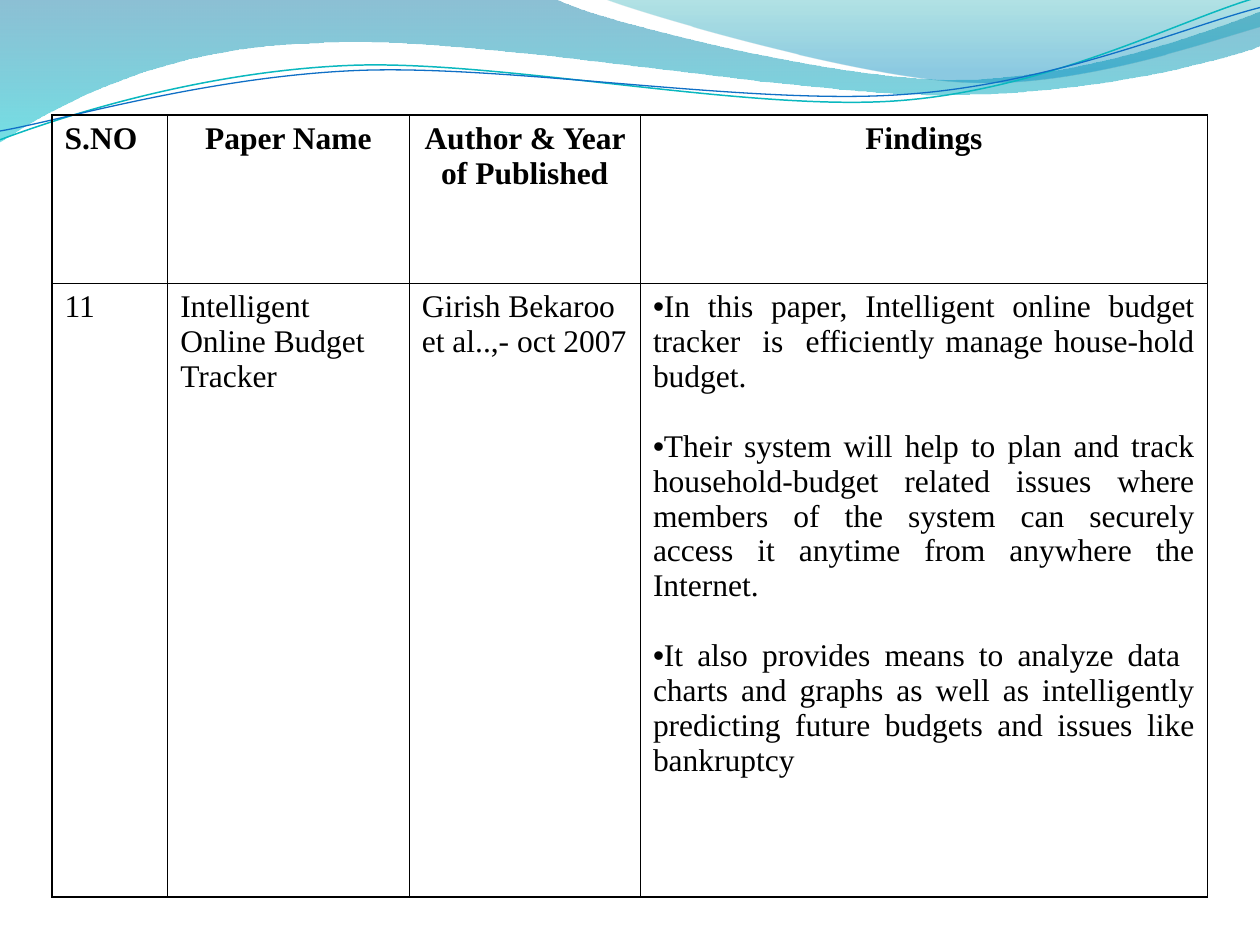
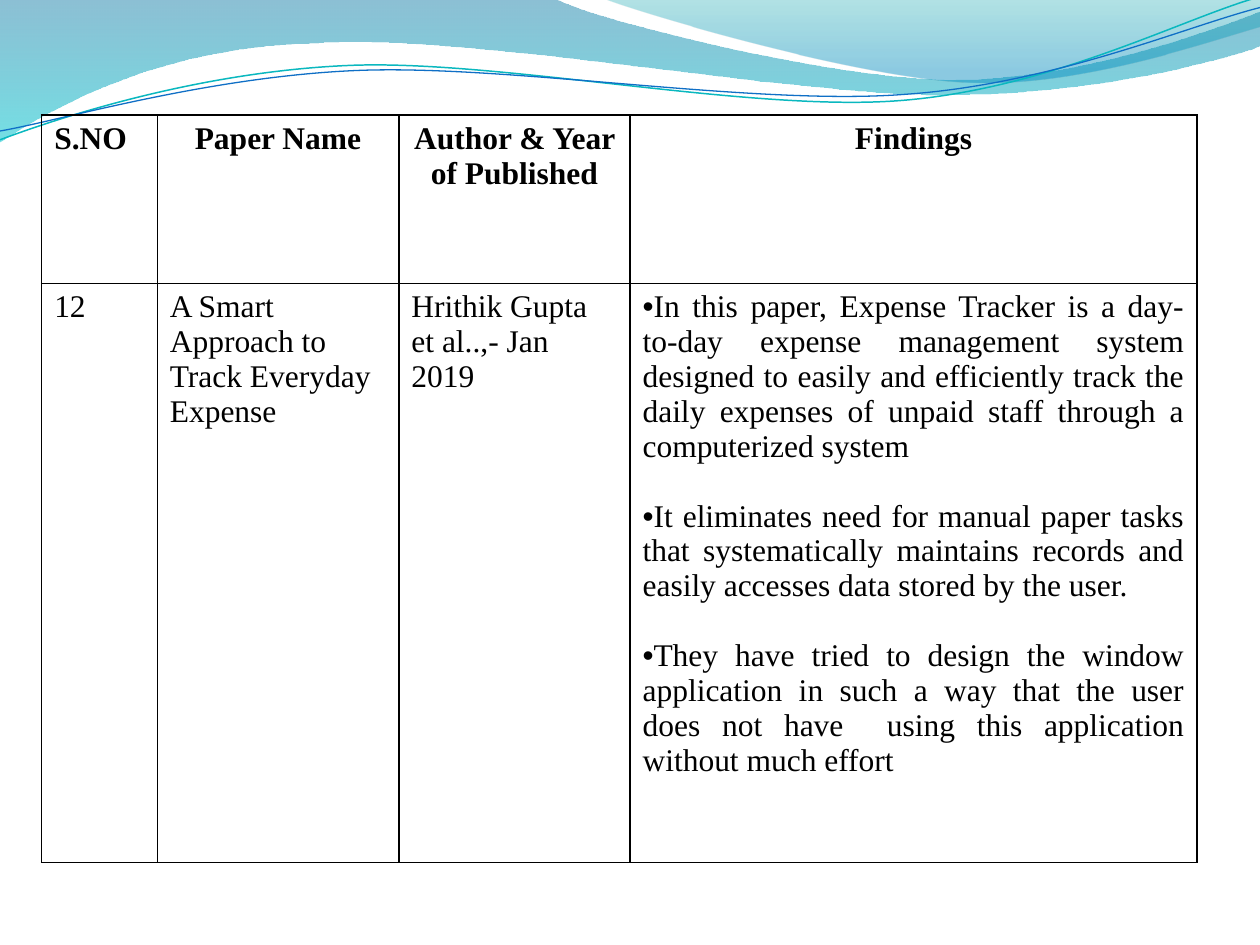
from lxml import etree
from pptx import Presentation
from pptx import util as u
from pptx.dml import color
from pptx.enum import text
from pptx.oxml import ns

Cm, Pt = u.Cm, u.Pt
FONT = "Times New Roman"
COLORS = {
    "ink": "000000",
    "deep_blue": "0074A1",
    "aqua": "00C6CF",
    "teal": "00A1A9",
    "sky": "008BBF",
    "teal_line": "0AB8BF",
    "blue_line": "0F6FC6",
}
GRID = 2.54  # cm per unit of the wave coordinates

# Outlines: a start point, then points (2 numbers) or Bezier curves (6 numbers)
WIDE_WAVE = [
    (0, 0), (4.4, -0.01),
    (4.76, 0.17, 6.64, 0.63, 7.58, 0.63),
    (8.53, 0.63, 9.58, 0.26, 10, 0.09),
    (10.01, 0.36),
    (9.83, 0.44, 8.7, 0.76, 7.46, 0.75),
    (6.22, 0.75, 3.82, 0.28, 2.57, 0.34),
    (1.29, 0.36, 0.46, 0.83, -0.01, 1.13),
    (0, 0),
]
RIGHT_WAVE = [
    (4.79, -0.01),
    (5.09, 0.11, 6.82, 0.62, 7.69, 0.65),
    (8.56, 0.69, 9.61, 0.32, 10, 0.21),
    (10, 0), (4.79, -0.01),
]
TEAL_CURVE = [
    (0, 1.11),
    (0.48, 0.93, 1.58, 0.57, 2.77, 0.52),
    (3.95, 0.47, 5.93, 0.89, 7.13, 0.8),
    (8.33, 0.71, 9.38, 0.15, 9.98, -0.02),
]
BLUE_CURVE = [
    (0, 1.04),
    (0.47, 0.96, 1.64, 0.61, 2.83, 0.56),
    (4.03, 0.51, 5.97, 0.84, 7.17, 0.75),
    (8.36, 0.67, 9.41, 0.21, 10, 0.06),
]

# Table layout in cm
TABLE_TOP = 2.32
COLUMN_WIDTHS = [2.33, 4.87, 4.66, 11.43]
HEADER_HEIGHT = 3.39
HEADINGS = ["S.NO", "Paper Name", "Author & Year of Published", "Findings"]

PAPERS = [
    {
        "left": 1.05, "height": 12.37,
        "facts": ["11", "Intelligent Online Budget Tracker",
                  "Girish Bekaroo et al..,- oct 2007"],
        "findings": [
            "In this paper, Intelligent online budget tracker  is  "
            "efficiently manage house-hold budget.",
            "Their system will help to plan and track household-budget "
            "related issues where members of the system can securely access "
            "it anytime from anywhere the Internet.",
            "It also provides means to analyze data  charts and graphs as "
            "well as intelligently predicting future budgets and issues like "
            "bankruptcy",
        ],
    },
    {
        "left": 0.84, "height": 11.68,
        "facts": ["12", "A Smart Approach to Track Everyday Expense",
                  "Hrithik Gupta et al..,- Jan 2019"],
        "findings": [
            "In this paper, Expense Tracker is a day-to-day expense "
            "management system designed to easily and efficiently track the "
            "daily expenses of unpaid staff through a computerized system",
            "It eliminates need for manual paper tasks that systematically "
            "maintains records and easily accesses data stored by the user.",
            "They have tried to design the window application in such a way "
            "that the user does not have  using this application without "
            "much effort",
        ],
    },
]


def rgb(name):
    return color.RGBColor.from_string(COLORS[name])


# --- Waves ---
def bend(shape, outline):
    """Join the three straight segments of each curve into one Bezier."""
    segments = iter(list(shape.element.spPr.iter(ns.qn("a:lnTo"))))
    for step in outline[1:]:
        first = next(segments)
        if len(step) == 6:
            first.tag = ns.qn("a:cubicBezTo")
            for _ in range(2):
                segment = next(segments)
                first.append(segment[0])
                segment.getparent().remove(segment)


def add_outline(slide, outline, close):
    points = [(Cm(step[index] * GRID), Cm(step[index + 1] * GRID))
              for step in outline for index in range(0, len(step), 2)]
    builder = slide.shapes.build_freeform(*points[0])
    builder.add_line_segments(points[1:], close=close)
    shape = builder.convert_to_shape()
    bend(shape, outline)
    shape.shadow.inherit = False
    return shape


def add_wave(slide, outline, stops):
    """Add a filled wave; stops are (position, colour, opacity in percent)."""
    shape = add_outline(slide, outline, True)
    shape.line.fill.background()
    shape.fill.gradient()
    shape.fill.gradient_angle = 270  # top to bottom
    for stop, (position, name, _) in zip(shape.fill.gradient_stops, stops):
        stop.position = position
        stop.color.rgb = rgb(name)
    solids = shape.element.spPr.iter(ns.qn("a:srgbClr"))
    for solid, (_, _, opacity) in zip(solids, stops):
        etree.SubElement(solid, ns.qn("a:alpha"), val=str(opacity * 1000))


def add_curve(slide, outline, name, width):
    shape = add_outline(slide, outline, False)
    shape.fill.background()
    shape.line.color.rgb = rgb(name)
    shape.line.width = Pt(width)


def add_header_waves(slide):
    add_wave(slide, WIDE_WAVE, [(0, "deep_blue", 45), (1, "aqua", 55)])
    add_wave(slide, RIGHT_WAVE, [(0, "teal", 30), (0.8, "sky", 45)])
    add_curve(slide, TEAL_CURVE, "teal_line", 0.85)
    add_curve(slide, BLUE_CURVE, "blue_line", 0.75)


# --- Table ---
def add_borders(cell):
    properties = cell._tc.get_or_add_tcPr()
    for side in ("lnL", "lnR", "lnT", "lnB"):
        line = etree.SubElement(properties, ns.qn("a:" + side),
                                w=str(Pt(1)))
        fill = etree.SubElement(line, ns.qn("a:solidFill"))
        etree.SubElement(fill, ns.qn("a:srgbClr"), val=COLORS["ink"])


def add_bullet(paragraph):
    properties = paragraph._p.get_or_add_pPr()
    properties.set("marL", "0")
    properties.set("indent", "0")
    etree.SubElement(properties, ns.qn("a:buFont"), typeface="Arial")
    etree.SubElement(properties, ns.qn("a:buChar"), char="•")


def write(paragraph, words, alignment, bold=False):
    paragraph.alignment = alignment
    run = paragraph.add_run()
    run.text = words
    run.font.name = FONT
    run.font.size = Pt(18)
    run.font.bold = bold
    run.font.color.rgb = rgb("ink")


def write_findings(frame, findings):
    for index, finding in enumerate(findings):
        paragraph = frame.add_paragraph() if index else frame.paragraphs[0]
        write(paragraph, finding, text.PP_ALIGN.JUSTIFY)
        if index < len(findings) - 1:
            paragraph.space_after = Pt(20)
        add_bullet(paragraph)


def add_paper_table(slide, paper):
    frame = slide.shapes.add_table(
        2, len(HEADINGS), Cm(paper["left"]), Cm(TABLE_TOP),
        Cm(sum(COLUMN_WIDTHS)), Cm(HEADER_HEIGHT + paper["height"]))
    table = frame.table
    table.first_row = table.horz_banding = False
    for column, width in zip(table.columns, COLUMN_WIDTHS):
        column.width = Cm(width)
    for row, height in zip(table.rows, (HEADER_HEIGHT, paper["height"])):
        row.height = Cm(height)
    for cell in table.iter_cells():
        add_borders(cell)
        cell.fill.background()

    left, center = text.PP_ALIGN.LEFT, text.PP_ALIGN.CENTER
    for index, heading in enumerate(HEADINGS):
        paragraph = table.cell(0, index).text_frame.paragraphs[0]
        write(paragraph, heading, center if index else left, bold=True)
    for index, fact in enumerate(paper["facts"]):
        write(table.cell(1, index).text_frame.paragraphs[0], fact, left)
    write_findings(table.cell(1, 3).text_frame, paper["findings"])


def main():
    presentation = Presentation()
    presentation.slide_width = Cm(25.4)
    presentation.slide_height = Cm(19.05)
    for paper in PAPERS:
        slide = presentation.slides.add_slide(presentation.slide_layouts[6])
        add_header_waves(slide)
        add_paper_table(slide, paper)
    presentation.save("out.pptx")


main()
